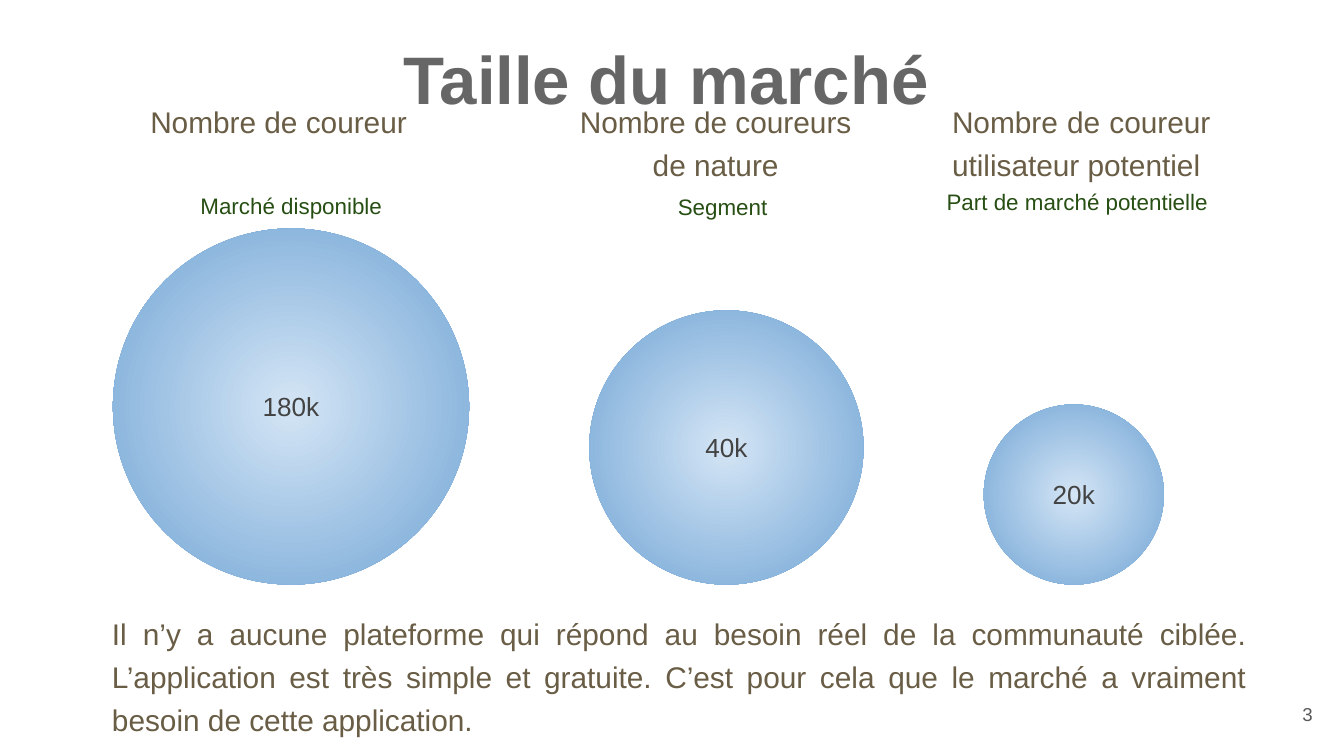
from lxml import etree
from pptx import Presentation
from pptx.dml.color import RGBColor
from pptx.enum.shapes import MSO_SHAPE
from pptx.enum.text import MSO_ANCHOR, PP_ALIGN
from pptx.oxml.ns import qn
from pptx.util import Inches, Pt

OVAL = MSO_SHAPE.OVAL
TOP, MID = MSO_ANCHOR.TOP, MSO_ANCHOR.MIDDLE
FULL, MIDST, RIGHT = PP_ALIGN.JUSTIFY, PP_ALIGN.CENTER, PP_ALIGN.RIGHT

THEME = {
    "font": "Arial",
    "glow": ("D4E5F5", "70A4D5"),
    "title": {"size": 36, "color": "666666", "bold": True, "space": 1.3},
    "body": {"size": 16, "color": "695D46", "bold": False, "space": 1.2},
    "tag": {"size": 12, "color": "274E13", "bold": False, "space": 1.2},
    "count": {"size": 14, "color": "434343", "bold": False, "space": 1.0},
    "page": {"size": 10, "color": "595959", "bold": False, "space": 1.0},
}

deck = Presentation()
deck.slide_width = Inches(10)
deck.slide_height = deck.slide_width * 9 // 16
slide = deck.slides.add_slide(deck.slide_layouts[6])
COL = deck.slide_width / 100
ROW = deck.slide_height / 56.25


def place(left, top, wide, high):
    return [round(n) for n in (left * COL, top * ROW, wide * COL, high * ROW)]


def write(text, box, style, align, anchor=TOP, after=0):
    look = THEME[style]
    frame = slide.shapes.add_textbox(*place(*box)).text_frame
    para = frame.paragraphs[0]
    run = para.add_run()
    inset = Inches(0.1)
    formats = (
        (frame, {"word_wrap": True, "vertical_anchor": anchor,
                 "margin_left": inset, "margin_right": inset,
                 "margin_top": inset, "margin_bottom": inset}),
        (para, {"alignment": align, "line_spacing": look["space"],
                "space_after": Pt(after)}),
        (run, {"text": text}),
        (run.font, {"name": THEME["font"], "size": Pt(look["size"]),
                    "bold": look["bold"]}),
    )
    for target, values in formats:
        for name, value in values.items():
            setattr(target, name, value)
    run.font.color.rgb = RGBColor.from_string(look["color"])


write("Taille du marché", (29.05, 0, 42, 5.4), "title", FULL)

BASE = 43.5
for mid, size, count in ((21.65, 26.5, "180k"), (54.05, 20.4, "40k"), (79.9, 13.4, "20k")):
    disc = slide.shapes.add_shape(OVAL, *place(mid - size / 2, BASE - size, size, size))
    disc.shadow.inherit = False
    disc.line.fill.background()
    disc.fill.gradient()
    for stop, color in zip(disc.fill.gradient_stops, THEME["glow"]):
        stop.color.rgb = RGBColor.from_string(color)
    grad = disc.element.spPr.find(qn("a:gradFill"))
    grad.remove(grad.find(qn("a:lin")))
    ring = etree.SubElement(grad, qn("a:path"), {"path": "circle"})
    etree.SubElement(ring, qn("a:fillToRect"), dict.fromkeys("ltrb", "50000"))
    write(count, (mid - 7.05, BASE - size / 2 - 3.3, 14.1, 6.6), "count", MIDST, MID)

HEAD = 6.2
for text, left, wide, high, align, after in (
    ("Nombre de coureur", 10.2, 22, 4.3, FULL, 0),
    ("Nombre de coureurs de nature", 41.5, 23.5, 8, MIDST, 0),
    ("Nombre de coureur utilisateur potentiel", 69.85, 21.2, 5.1, FULL, 10),
):
    write(text, (left, HEAD, wide, high), "body", align, after=after)

for text, box, align in (
    ("Marché disponible", (13.3, 12.9, 16.75, 3.3), MIDST),
    ("Segment", (49.45, 13, 9.3, 3.2), FULL),
    ("Part de marché potentielle", (69.45, 12.6, 22, 4.3), FULL),
):
    write(text, box, "tag", align)

write(
    "Il n’y a aucune plateforme qui répond au besoin réel de la communauté ciblée. "
    "L’application est très simple et gratuite. C’est pour cela que le marché a "
    "vraiment besoin de cette application.",
    (7.35, 44.3, 86.4, 10), "body", FULL, after=10,
)
write("3", (92.65, 51, 6, 4.3), "page", RIGHT, MID)

deck.save("out.pptx")
